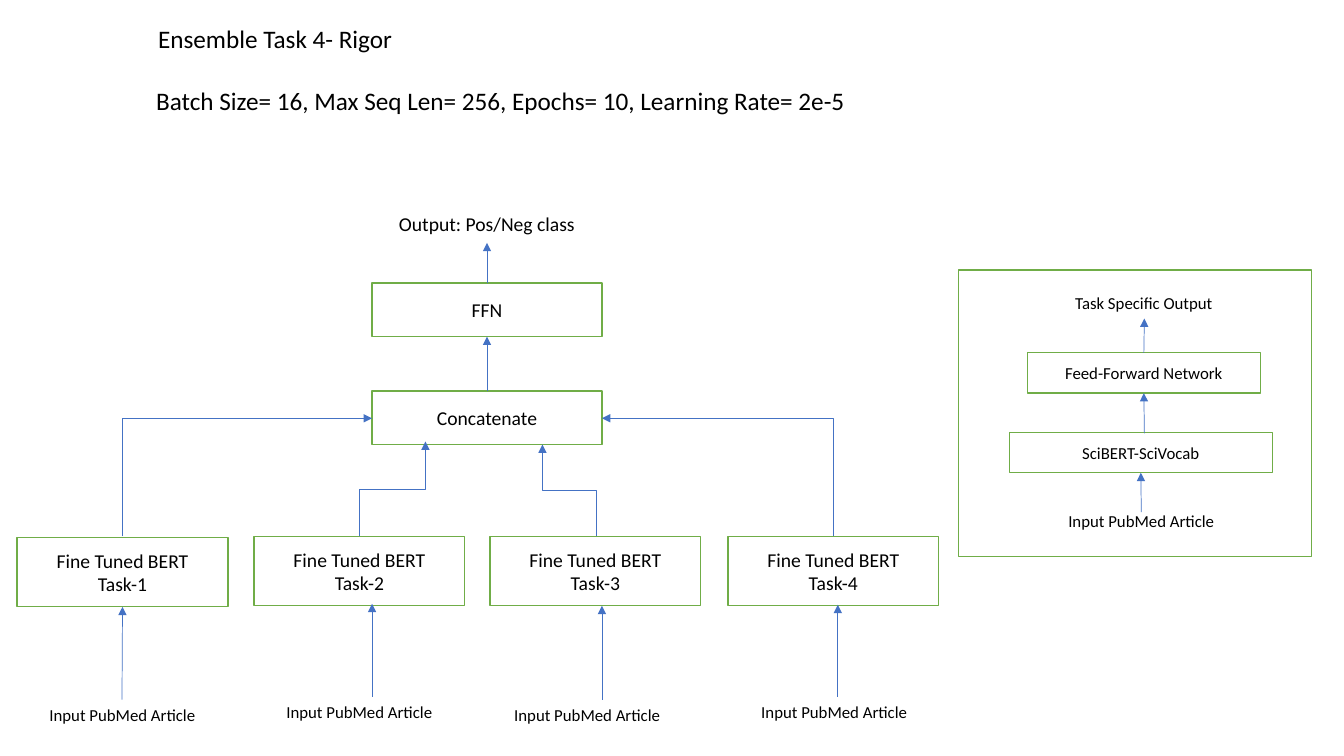
from pptx import Presentation
from pptx.dml.color import RGBColor
from pptx.enum.shapes import MSO_CONNECTOR as Link, MSO_SHAPE as Form
from pptx.enum.text import MSO_ANCHOR as Anchor, MSO_AUTO_SIZE as Fit, PP_ALIGN as Align
from pptx.oxml.ns import qn
from pptx.util import Inches, Pt
from lxml.etree import SubElement

COLOURS = {"fill": "FFFFFF", "border": "70AD47", "arrow": "4472C4", "text": "000000"}
TOP, BOTTOM = 0, 2
ARTICLE = "Input PubMed Article"


class Diagram:
    font = "Calibri"

    def __init__(self, page):
        self.page = page

    def colour(self, name):
        return RGBColor.from_string(COLOURS[name])

    def set_text(self, frame, lines, size, align):
        frame.word_wrap = True
        frame.text = lines
        for para in frame.paragraphs:
            para.alignment = align
            para.font.name = self.font
            para.font.size = Pt(size)
            para.font.color.rgb = self.colour("text")

    def box(self, left, top, width, height, lines="", size=14):
        box = self.page.shapes.add_shape(Form.RECTANGLE, *map(Inches, (left, top, width, height)))
        box.shadow.inherit = False
        box.fill.solid()
        box.fill.fore_color.rgb = self.colour("fill")
        box.line.color.rgb = self.colour("border")
        box.line.width = Pt(1)
        if lines:
            box.text_frame.vertical_anchor = Anchor.MIDDLE
            self.set_text(box.text_frame, lines, size, Align.CENTER)
        return box

    def label(self, left, top, width, height, text, size=12, align=Align.CENTER):
        box = self.page.shapes.add_textbox(*map(Inches, (left, top, width, height)))
        self.set_text(box.text_frame, text, size, align)
        box.text_frame.auto_size = Fit.SHAPE_TO_FIT_TEXT

    def connector(self, kind, start, end):
        line = self.page.shapes.add_connector(kind, *map(Inches, (*start, *end)))
        line.line.color.rgb = self.colour("arrow")
        line.line.width = Pt(0.5)
        shape_format = line._element.spPr
        SubElement(shape_format.find(qn("a:ln")), qn("a:tailEnd"), type="triangle")
        SubElement(shape_format, qn("a:effectLst"))
        return line

    def arrow(self, x, start, end, leave=None, reach=None):
        line = self.connector(Link.STRAIGHT, (x, start), (x, end))
        if leave:
            line.begin_connect(leave, TOP)
        if reach:
            line.end_connect(reach, BOTTOM)

    def elbow(self, start, end, preset):
        across, rise = end[0] - start[0], start[1] - end[1]
        middle_x, middle_y = (start[0] + end[0]) / 2, (start[1] + end[1]) / 2
        line = self.connector(
            Link.ELBOW,
            (middle_x - rise / 2, middle_y - across / 2),
            (middle_x + rise / 2, middle_y + across / 2),
        )
        shape_format = line._element.spPr
        shape_format.find(qn("a:xfrm")).set("rot", str(270 * 60000))
        shape_format.find(qn("a:prstGeom")).set("prst", preset)


def draw_task_model(diagram):
    diagram.box(9.51, 2.68, 3.5, 2.84)
    encoder = diagram.box(10.01, 4.29, 2.61, 0.4, "SciBERT-SciVocab", 12)
    diagram.label(10.3, 5.02, 2.04, 0.3, ARTICLE)
    diagram.label(10.19, 2.86, 2.31, 0.3, "Task Specific Output")
    network = diagram.box(10.19, 3.5, 2.31, 0.4, "Feed-Forward Network", 12)
    diagram.arrow(11.32, 5.08, 4.69, reach=encoder)
    diagram.arrow(11.35, 4.3, 3.9, reach=network)
    diagram.arrow(11.35, 3.5, 3.16, leave=network)


def draw_ensemble(diagram):
    tasks = [
        (0.17, 5.33, 0.3, 6.94, 1.21, 6.01),
        (2.52, 5.32, 2.65, 6.91, 3.69, 5.99),
        (4.86, 5.32, 4.91, 6.94, 5.97, 6.01),
        (7.22, 5.32, 7.36, 6.91, 8.31, 6),
    ]
    for number, (left, top, label_left, label_top, x, tip) in enumerate(tasks, 1):
        task = diagram.box(left, top, 2.09, 0.69, f"Fine Tuned BERT\nTask-{number}")
        diagram.label(label_left, label_top, 1.83, 0.3, ARTICLE)
        diagram.arrow(x, label_top, tip, reach=task if number == 1 else None)

    concatenate = diagram.box(3.69, 3.88, 2.28, 0.53, "Concatenate")
    joins = [
        (1.21, (3.69, 4.15), "bentConnector2"),
        (3.56, (4.22, 4.38), "bentConnector3"),
        (5.91, (5.38, 4.41), "bentConnector3"),
        (8.27, (5.97, 4.15), "bentConnector2"),
    ]
    for x, end, preset in joins:
        diagram.elbow((x, 5.32), end, preset)

    ffn = diagram.box(3.69, 2.81, 2.28, 0.53, "FFN")
    diagram.arrow(4.83, 3.88, 3.34, leave=concatenate, reach=ffn)
    diagram.arrow(4.83, 2.81, 2.41, leave=ffn)
    diagram.label(3.76, 2.05, 2.14, 0.34, "Output: Pos/Neg class", 14)


def main():
    deck = Presentation()
    deck.slide_width, deck.slide_height = Inches(13.33), Inches(7.5)
    diagram = Diagram(deck.slides.add_slide(deck.slide_layouts[6]))
    draw_task_model(diagram)
    diagram.label(1.47, 0.18, 2.93, 0.4, "Ensemble Task 4- Rigor", 18, Align.LEFT)
    settings = "Batch Size= 16, Max Seq Len= 256, Epochs= 10, Learning Rate= 2e-5"
    diagram.label(1.45, 0.8, 7.28, 0.4, settings, 18, Align.LEFT)
    draw_ensemble(diagram)
    deck.save("out.pptx")


if __name__ == "__main__":
    main()
